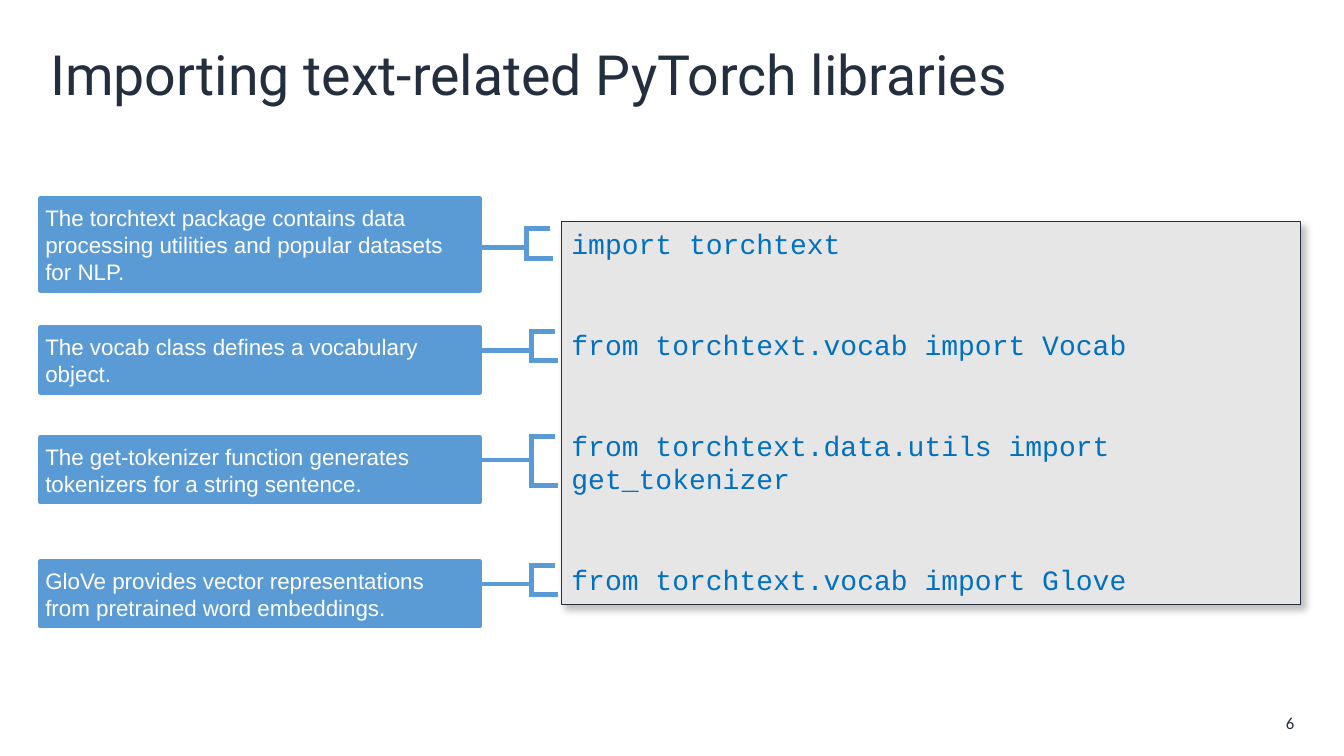
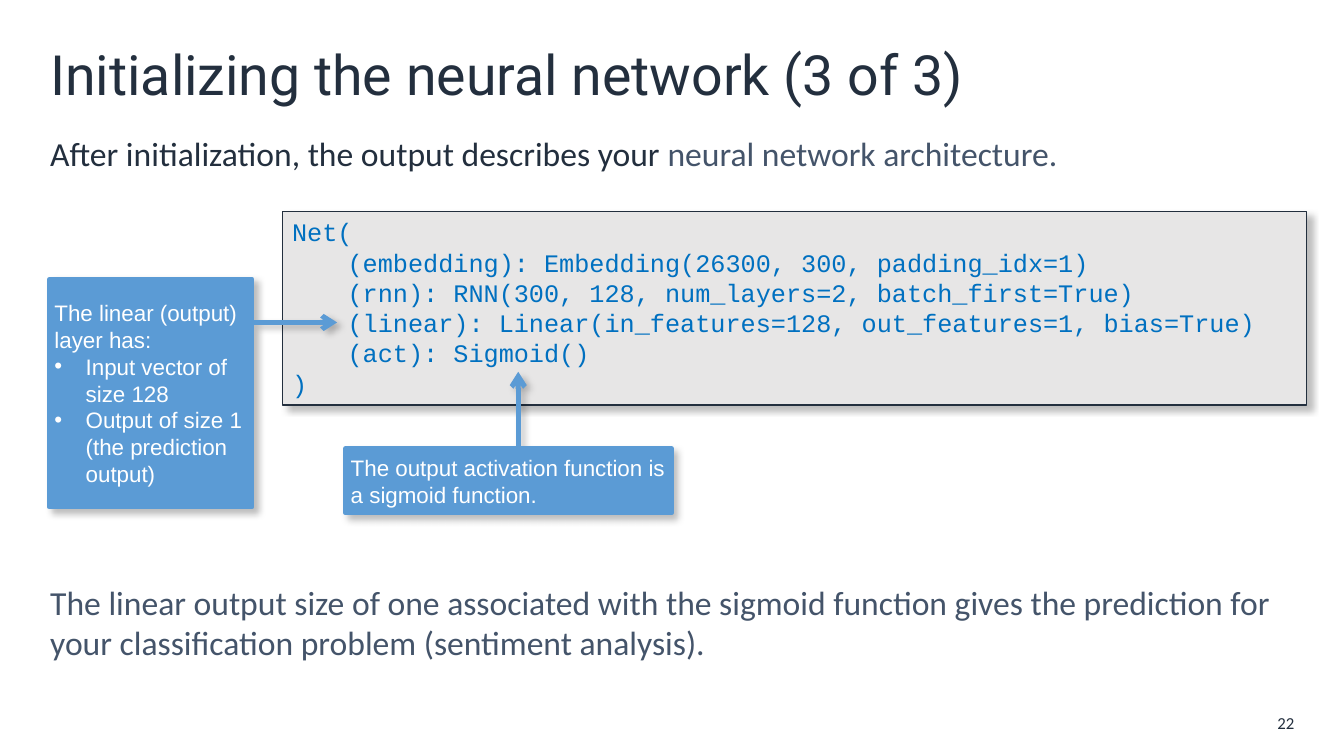
from dataclasses import dataclass

from lxml import etree
from pptx import Presentation
from pptx.dml.color import RGBColor
from pptx.enum.shapes import MSO_SHAPE
from pptx.enum.text import MSO_ANCHOR, PP_ALIGN
from pptx.oxml.ns import qn
from pptx.util import Inches, Pt

RECTANGLE = MSO_SHAPE.RECTANGLE
CALLOUT = MSO_SHAPE.LINE_CALLOUT_1
TOP, MIDDLE = MSO_ANCHOR.TOP, MSO_ANCHOR.MIDDLE
LEFT, RIGHT = PP_ALIGN.LEFT, PP_ALIGN.RIGHT

SLIDE_WIDTH, SLIDE_HEIGHT = Inches(40 / 3), Inches(7.5)
COLUMNS, ROWS = 40, 30
MARGIN, CONTENT_WIDTH = 1.2, 37.62
LINE_PITCH = 1.2


@dataclass(frozen=True)
class Format:
    name: str
    size: float
    color: str


class Theme:
    ink, slate, code_blue = "232F3E", "44546A", "0070C0"
    accent, panel, white = "5B9BD5", "E7E6E6", "FFFFFF"
    title = Format("Roboto", 39.6, ink)
    body = Format("Calibri", 24, ink)
    body_soft = Format("Calibri", 24, slate)
    number = Format("Calibri", 12, ink)
    note = Format("Arial", 16, white)
    code = Format("Courier New", 20, code_blue)
    code_small = Format("Courier New", 18, code_blue)
    outline, callout_line = 1, 3.5


def across(columns):
    return round(SLIDE_WIDTH * columns / COLUMNS)


def down(rows):
    return round(SLIDE_HEIGHT * rows / ROWS)


def place(left, top, width, height):
    return across(left), down(top), across(width), down(height)


def add_xml(parent, tag, **values):
    child = etree.SubElement(parent, qn(tag))
    for name, value in values.items():
        child.set(name, str(value))
    return child


def add_span(para, text, look):
    span = para.add_run()
    span.text = text
    for name, value in {"name": look.name, "size": Pt(look.size)}.items():
        setattr(span.font, name, value)
    span.font.color.rgb = RGBColor.from_string(look.color)


def write(frame, lines, anchor=TOP, align=LEFT, inset=None, **spacing):
    """Fill a frame; each line is a list of (text, format) spans."""
    frame.word_wrap = True
    frame.vertical_anchor = anchor
    if inset is not None:
        for side in ("left", "right", "top", "bottom"):
            setattr(frame, f"margin_{side}", inset)
    for index, spans in enumerate(lines):
        para = frame.paragraphs[0] if index == 0 else frame.add_paragraph()
        para.alignment = align
        for name, value in spacing.items():
            if index or name != "space_before":
                setattr(para, name, value)
        for text, look in spans:
            add_span(para, text, look)


def add_text(page, area, spans, **options):
    box = page.shapes.add_textbox(*place(*area))
    write(box.text_frame, [spans], **options)


def add_shadow(shape):
    effects = shape._element.spPr.find(qn("a:effectLst"))
    shadow = add_xml(effects, "a:outerShdw", blurRad=Pt(5), dist=Pt(4.2),
                     dir=45 * 60000, algn="tl", rotWithShape=0)
    add_xml(add_xml(shadow, "a:srgbClr", val="000000"), "a:alpha", val=25000)


def paint(shape, fill, line, width, shadow=False):
    if fill:
        shape.fill.solid()
        shape.fill.fore_color.rgb = RGBColor.from_string(fill)
    else:
        shape.fill.background()
    shape.line.color.rgb = RGBColor.from_string(line)
    shape.line.width = Pt(width)
    shape.shadow.inherit = False
    if shadow:
        add_shadow(shape)


def add_code(page, area, lines, look, gap=0, tab=None):
    panel = page.shapes.add_shape(RECTANGLE, *place(*area))
    paint(panel, Theme.panel, Theme.ink, Theme.outline, shadow=True)
    write(panel.text_frame, [[(line, look)] for line in lines],
          line_spacing=Pt(look.size * LINE_PITCH), space_before=Pt(gap))
    if tab:
        for para in panel.text_frame.paragraphs:
            stops = add_xml(para._p.get_or_add_pPr(), "a:tabLst")
            add_xml(stops, "a:tab", pos=tab, algn="l")


def add_bullet(para):
    properties = para._p.get_or_add_pPr()
    indent = Inches(0.31)
    properties.set("marL", str(indent))
    properties.set("indent", str(-indent))
    add_xml(properties, "a:buFont", typeface="Arial")
    add_xml(properties, "a:buChar", char="•")


def add_callout(page, area, text, start, end, bullets=(), arrow=False):
    """Draw a note whose leader runs between two (x, y) shares of its box."""
    note = page.shapes.add_shape(CALLOUT, *place(*area))
    for index, share in enumerate((*start[::-1], *end[::-1])):
        note.adjustments[index] = share
    paint(note, Theme.accent, Theme.accent, Theme.callout_line, shadow=arrow)
    if arrow:
        add_xml(note.line._get_or_add_ln(), "a:tailEnd", type="arrow")
    write(note.text_frame, [[(line, Theme.note)] for line in (text, *bullets)],
          anchor=MIDDLE, inset=Inches(0.05),
          line_spacing=Pt(Theme.note.size * LINE_PITCH))
    for para in note.text_frame.paragraphs[1:]:
        add_bullet(para)


def add_bracket(page, left, top, height):
    arm, lip = 0.7, 0.09
    right, bottom = left + arm, top + height
    outline = page.shapes.build_freeform(across(right), down(top), scale=1.0)
    corners = [(left, top), (left, bottom), (right + lip, bottom)]
    outline.add_line_segments([(across(x), down(y)) for x, y in corners],
                              close=False)
    bracket = outline.convert_to_shape()
    paint(bracket, None, Theme.accent, Theme.callout_line)
    add_xml(bracket.line._get_or_add_ln(), "a:miter", lim=800000)


def add_page(deck, title, number):
    page = deck.slides.add_slide(deck.slide_layouts[6])
    add_text(page, (37.23, 28.2, 1.59, 1), [(number, Theme.number)],
             anchor=MIDDLE, align=RIGHT)
    add_text(page, (MARGIN, 1.32, CONTENT_WIDTH, 3.2), [(title, Theme.title)],
             anchor=MIDDLE)
    return page


def build_imports(deck):
    page = add_page(deck, "Importing text-related PyTorch libraries", "6")
    add_code(page, (16.71, 8.8, 22, 15.2), [
        "import torchtext",
        "from torchtext.vocab import Vocab",
        "from torchtext.data.utils import get_tokenizer",
        "from torchtext.vocab import Glove",
    ], Theme.code, gap=48)
    width = 13.08
    # text, note top and height, leader share, bracket left, top and height
    notes = [
        ("The torchtext package contains data processing utilities and "
         "popular datasets for NLP.", 7.88, 3.64, 0.53, 15.66, 9.08, 1.16),
        ("The vocab class defines a vocabulary object.",
         13, 2.56, 0.35, 15.81, 13.16, 1.16),
        ("The get-tokenizer function generates tokenizers for a string "
         "sentence.", 17.36, 2.56, 0.35, 15.81, 17.32, 1.96),
        ("GloVe provides vector representations from pretrained word "
         "embeddings.", 22.28, 2.56, 0.35, 15.81, 22.44, 1.16),
    ]
    for text, top, height, level, left, bracket_top, bracket_height in notes:
        add_bracket(page, left, bracket_top, bracket_height)
        reach = (left - MARGIN) / width
        add_callout(page, (MARGIN, top, width, height), text,
                    (1, level), (reach, level))


def build_network(deck):
    page = add_page(deck, "Initializing the neural network (3 of 3)", "22")
    add_text(page, (MARGIN, 5.08, CONTENT_WIDTH, 2), [
        ("After initialization, the output describes your ", Theme.body),
        ("neural network architecture.", Theme.body_soft),
    ])
    add_code(page, (8.4, 8.4, 30.48, 7.68), [
        "Net(",
        "\t(embedding): Embedding(26300, 300, padding_idx=1)",
        "\t(rnn): RNN(300, 128, num_layers=2, batch_first=True)",
        "\t(linear): Linear(in_features=128, out_features=1, bias=True)",
        "\t(act): Sigmoid()",
        ")",
    ], Theme.code_small, tab=Inches(0.55))
    add_callout(page, (1.47, 11.08, 6.03, 9.04),
                "The linear (output) layer has:", (1, 0.19), (1.42, 0.19),
                bullets=["Input vector of size 128",
                         "Output of size 1 (the prediction output)"],
                arrow=True)
    add_callout(page, (10.29, 17.8, 9.69, 2.56),
                "The output activation function is a sigmoid function.",
                (0.53, -0.02), (0.53, -1.19), arrow=True)
    add_text(page, (MARGIN, 22.88, CONTENT_WIDTH, 3.64), [
        ("The linear output size of one associated with the sigmoid function "
         "gives the prediction for your classification problem (sentiment "
         "analysis).", Theme.body_soft),
    ])


def main():
    deck = Presentation()
    deck.slide_width, deck.slide_height = SLIDE_WIDTH, SLIDE_HEIGHT
    build_imports(deck)
    build_network(deck)
    deck.save("out.pptx")


if __name__ == "__main__":
    main()
